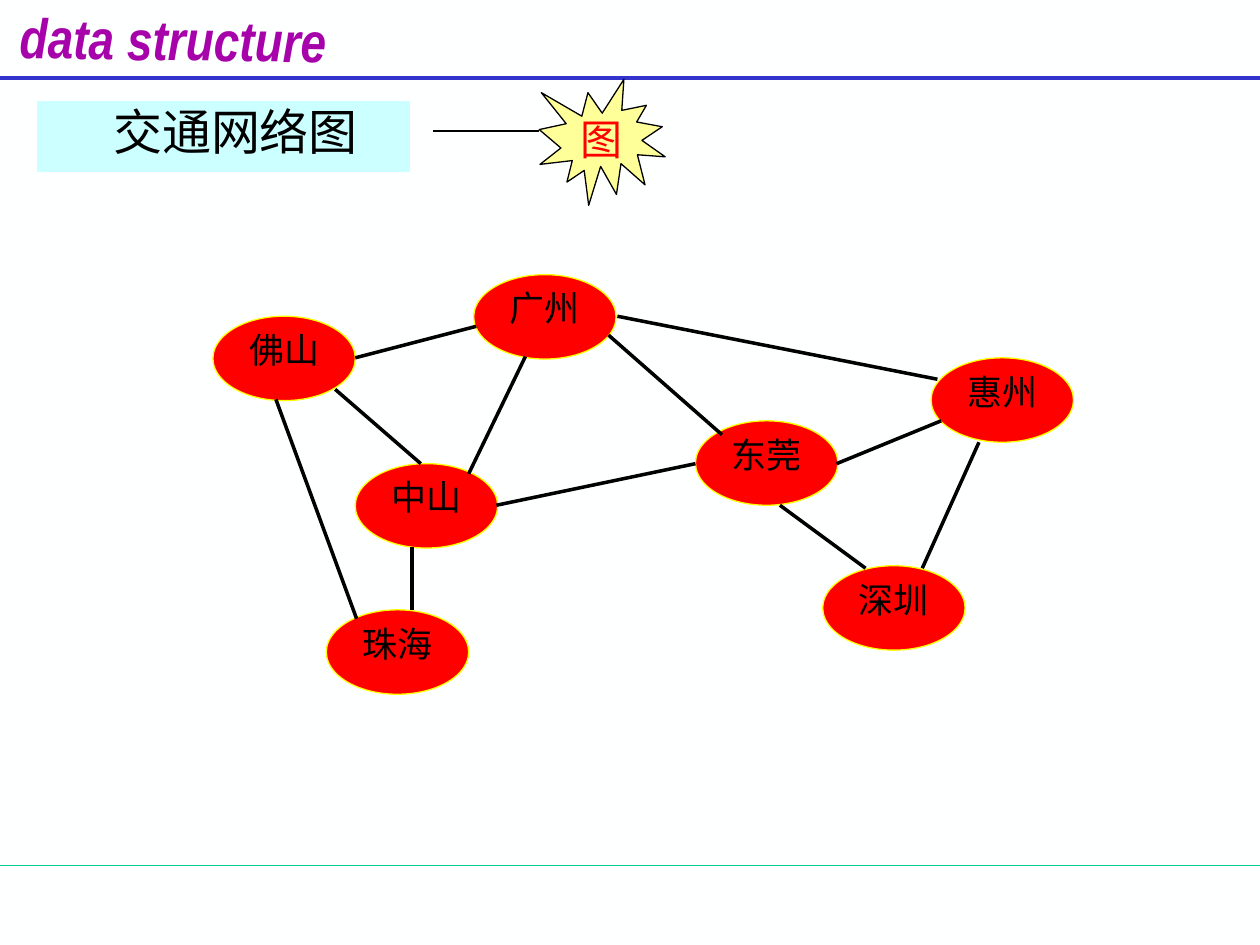
from dataclasses import dataclass

from pptx import Presentation
from pptx.dml.color import RGBColor
from pptx.enum.shapes import MSO_CONNECTOR as Link, MSO_SHAPE as Shape
from pptx.enum.text import MSO_ANCHOR as Anchor, PP_ALIGN as Align
from pptx.oxml.ns import qn
from pptx.util import Inches, Pt


@dataclass(frozen=True)
class Theme:
    background: str = "FEFFFF"
    ink: str = "000000"
    banner: str = "A603AB"
    header_rule: str = "3333CC"
    footer_rule: str = "00CC99"
    heading_fill: str = "CCFFFF"
    burst_fill: str = "FFFF99"
    red: str = "FF0000"
    city_line: str = "FFFF00"
    banner_font: str = "Arial Narrow"
    chinese_font: str = "Noto Sans CJK SC"
    body_font: str = "Times New Roman"
    banner_size: int = 32
    heading_size: int = 28
    burst_size: int = 24
    city_size: int = 20
    thin: float = 0.75
    road: float = 2
    thick: float = 2.25


THEME = Theme()
CITY_WIDTH, CITY_HEIGHT = 1.13, 0.67

# Left and top of each city
CITIES = {
    "佛山": (1.69, 2.51),
    "惠州": (7.39, 2.84),
    "广州": (3.76, 2.18),
    "中山": (2.82, 3.68),
    "东莞": (5.52, 3.34),
    "深圳": (6.53, 4.49),
    "珠海": (2.59, 4.84),
}

# Start and end of each road
ROADS = [
    ((3.27, 4.84), (3.27, 4.34)),  # 珠海 - 中山
    ((3.34, 3.68), (2.66, 3.09)),  # 中山 - 佛山
    ((5.52, 3.68), (3.94, 4.01)),  # 东莞 - 中山
    ((5.73, 3.45), (4.83, 2.66)),  # 东莞 - 广州
    ((6.87, 4.51), (6.19, 4.01)),  # 深圳 - 东莞
    ((7.32, 4.51), (7.77, 3.51)),  # 深圳 - 惠州
    ((7.44, 3.01), (4.9, 2.51)),   # 惠州 - 广州
    ((3.72, 3.76), (4.17, 2.83)),  # 中山 - 广州
    ((3.78, 2.59), (2.82, 2.84)),  # 广州 - 佛山
    ((7.47, 3.34), (6.64, 3.68)),  # 惠州 - 东莞
    ((2.83, 4.91), (2.19, 3.17)),  # 珠海 - 佛山
]


def rgb(value):
    return RGBColor.from_string(value)


def write(box, text, font, size, color, align=Align.LEFT, anchor=Anchor.TOP,
          insets=(0.1, 0.05), wrap=True):
    """Fill a box with one paragraph and return that paragraph."""
    frame = box.text_frame
    frame.text = text
    frame.word_wrap = wrap
    frame.vertical_anchor = anchor
    frame.margin_left = frame.margin_right = Inches(insets[0])
    frame.margin_top = frame.margin_bottom = Inches(insets[1])
    para = frame.paragraphs[0]
    para.alignment = align
    span = para.runs[0]
    span.font.name = font
    span.font.size = Pt(size)
    span.font.color.rgb = rgb(color)
    latin = span.font._element.find(qn("a:latin"))
    latin.addnext(latin.makeelement(qn("a:ea"),
                                    {"typeface": THEME.chinese_font}))
    return para


def add_figure(page, kind, bounds, fill, line):
    figure = page.shapes.add_shape(kind, *map(Inches, bounds))
    figure.shadow.inherit = False
    figure.fill.solid()
    figure.fill.fore_color.rgb = rgb(fill)
    figure.line.color.rgb = rgb(line)
    figure.line.width = Pt(THEME.thin)
    return figure


def add_line(page, start, end, color, width):
    line = page.shapes.add_connector(Link.STRAIGHT, *map(Inches, start + end))
    line.line.color.rgb = rgb(color)
    line.line.width = Pt(width)
    properties = line._element.spPr
    properties.append(properties.makeelement(qn("a:effectLst"), {}))


def add_frame(page):
    """Draw the rules and the course banner."""
    add_line(page, (0, 6.87), (10, 6.87), THEME.footer_rule, THEME.thin)
    add_line(page, (0, 0.62), (10, 0.62), THEME.header_rule, THEME.thick)
    banner = page.shapes.add_textbox(*map(Inches, (0.06, -0.01, 2.9, 0.54)))
    banner.rotation = 0.8
    para = write(banner, "data structure", THEME.banner_font,
                 THEME.banner_size, THEME.banner)
    para.runs[0].font.bold = True
    para.runs[0].font.italic = True


def add_heading(page):
    heading = add_figure(page, Shape.RECTANGLE, (0.3, 0.81, 2.95, 0.55),
                         THEME.heading_fill, THEME.heading_fill)
    para = write(heading, "交通网络图", THEME.chinese_font,
                 THEME.heading_size, THEME.ink)
    para.line_spacing = 0.9
    indent = para._p.get_or_add_pPr()
    indent.set("marL", str(Inches(0.81)))
    indent.set("indent", str(Inches(-0.31)))


def add_burst(page):
    burst = add_figure(page, Shape.EXPLOSION1, (4.28, 0.63, 1, 1),
                       THEME.burst_fill, THEME.ink)
    write(burst, "图", THEME.body_font, THEME.burst_size, THEME.red,
          Align.CENTER, Anchor.MIDDLE, wrap=False)
    add_line(page, (3.44, 1.04), (4.28, 1.04), THEME.ink, THEME.thin)


def add_city(page, name, corner):
    city = add_figure(page, Shape.OVAL, (*corner, CITY_WIDTH, CITY_HEIGHT),
                      THEME.red, THEME.city_line)
    write(city, name, THEME.body_font, THEME.city_size, THEME.ink,
          Align.CENTER, insets=(0, 0))


def main():
    deck = Presentation()
    deck.slide_width, deck.slide_height = Inches(10), Inches(7.5)
    page = deck.slides.add_slide(deck.slide_layouts[6])
    page.background.fill.solid()
    page.background.fill.fore_color.rgb = rgb(THEME.background)
    add_frame(page)
    add_heading(page)
    add_burst(page)
    for name, corner in CITIES.items():
        add_city(page, name, corner)
    for start, end in ROADS:
        add_line(page, start, end, THEME.ink, THEME.road)
    deck.save("out.pptx")


if __name__ == "__main__":
    main()
